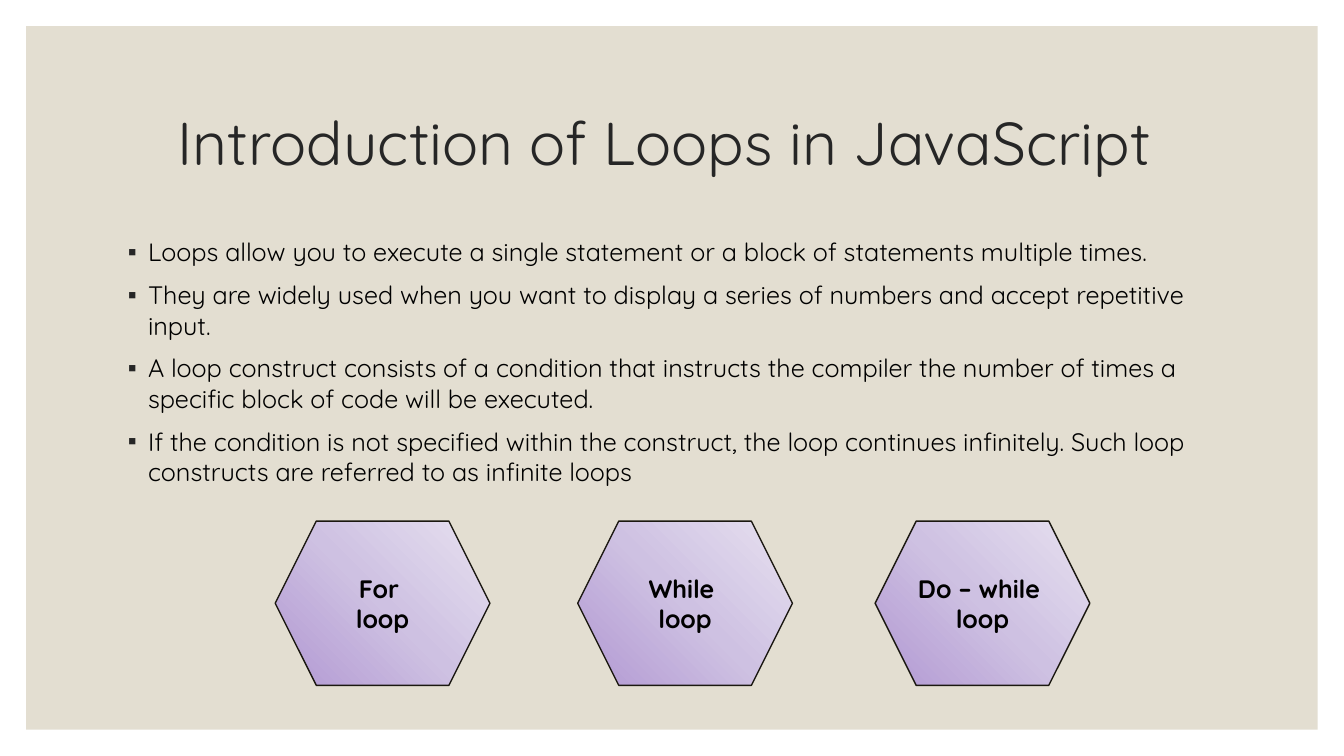
from copy import deepcopy
from lxml import etree
from pptx import Presentation
from pptx import util as u
from pptx.dml.color import RGBColor
from pptx.enum import shapes, text
from pptx.oxml.ns import qn

TITLE = "Introduction of Loops in JavaScript "
POINTS = [
    "Loops allow you to execute a single statement or a block of statements multiple times.",
    "They are widely used when you want to display a series of numbers and accept repetitive input.",
    "A loop construct consists of a condition that instructs the compiler the number of times a specific block of code will be executed.",
    "If the condition is not specified within the construct, the loop continues infinitely. Such loop constructs are referred to as infinite loops",
]
LOOPS = [(273, ["For ", "loop"]), (573, ["While ", "loop"]), (868, ["Do – while ", "loop"])]
COLORS = {"panel": "E3DED1", "title": "262626", "body": "000000", "edge": "1B1810"}
FADE = [(0, "B197D2"), (0.5, "CEC1E2"), (1, "E7E1F0")]
FONT = "Quicksand"
PX = 9144
WIDE, HIGH, EDGE = 1333, 750, 26


def box(*sides):
    return [side * PX for side in sides]


def color(name):
    return RGBColor.from_string(COLORS.get(name, name))


def bullet(para):
    props = para._p.get_or_add_pPr()
    props.set("marL", str(20 * PX))
    props.set("indent", str(-20 * PX))
    tint = etree.SubElement(props, qn("a:buClr"))
    etree.SubElement(tint, qn("a:srgbClr"), val=COLORS["title"])
    etree.SubElement(props, qn("a:buFont"), typeface="Arial")
    etree.SubElement(props, qn("a:buChar"), char="▪")


def write(shape, lines, size=18, ink="body", bold=False, align="CENTER",
          anchor="MIDDLE", pitch=None, before=0, dots=False):
    frame = shape.text_frame
    frame.word_wrap = True
    frame.vertical_anchor = getattr(text.MSO_ANCHOR, anchor)
    for i, line in enumerate(lines):
        para = frame.add_paragraph() if i else frame.paragraphs[0]
        para.alignment = getattr(text.PP_ALIGN, align)
        para.line_spacing = pitch
        para.space_before = u.Pt(before)
        if dots:
            bullet(para)
        run = para.add_run()
        run.text = line
        font = run.font
        font.name, font.size, font.bold = FONT, u.Pt(size), bold
        font.color.rgb = color(ink)


def fade(fill):
    fill.gradient()
    fill.gradient_angle = 45
    first = fill._fill._gradFill.find(qn("a:gsLst"))[0]
    first.addnext(deepcopy(first))
    for stop, (place, tone) in zip(fill.gradient_stops, FADE):
        stop.position = place
        stop.color.rgb = color(tone)


def main():
    deck = Presentation()
    deck.slide_width, deck.slide_height = box(WIDE, HIGH)
    slide = deck.slides.add_slide(deck.slide_layouts[6])
    draw = slide.shapes

    panel = draw.add_shape(shapes.MSO_SHAPE.RECTANGLE,
                           *box(EDGE, EDGE, WIDE - 2 * EDGE, HIGH - 2 * EDGE))
    panel.shadow.inherit = False
    panel.fill.solid()
    panel.fill.fore_color.rgb = color("panel")
    panel.line.fill.background()

    write(draw.add_textbox(*box(117, 70, 1100, 150)), [TITLE],
          size=43.2, ink="title", pitch=0.9)
    write(draw.add_textbox(*box(117, 230, 1100, 430)), POINTS,
          align="LEFT", anchor="TOP", before=9, dots=True)

    for left, lines in LOOPS:
        cell = draw.add_shape(shapes.MSO_SHAPE.HEXAGON, *box(left, 517, 213, 163))
        cell.shadow.inherit = False
        fade(cell.fill)
        cell.line.color.rgb = color("edge")
        cell.line.width = u.Pt(1)
        write(cell, lines, bold=True)

    deck.save("out.pptx")


if __name__ == "__main__":
    main()
